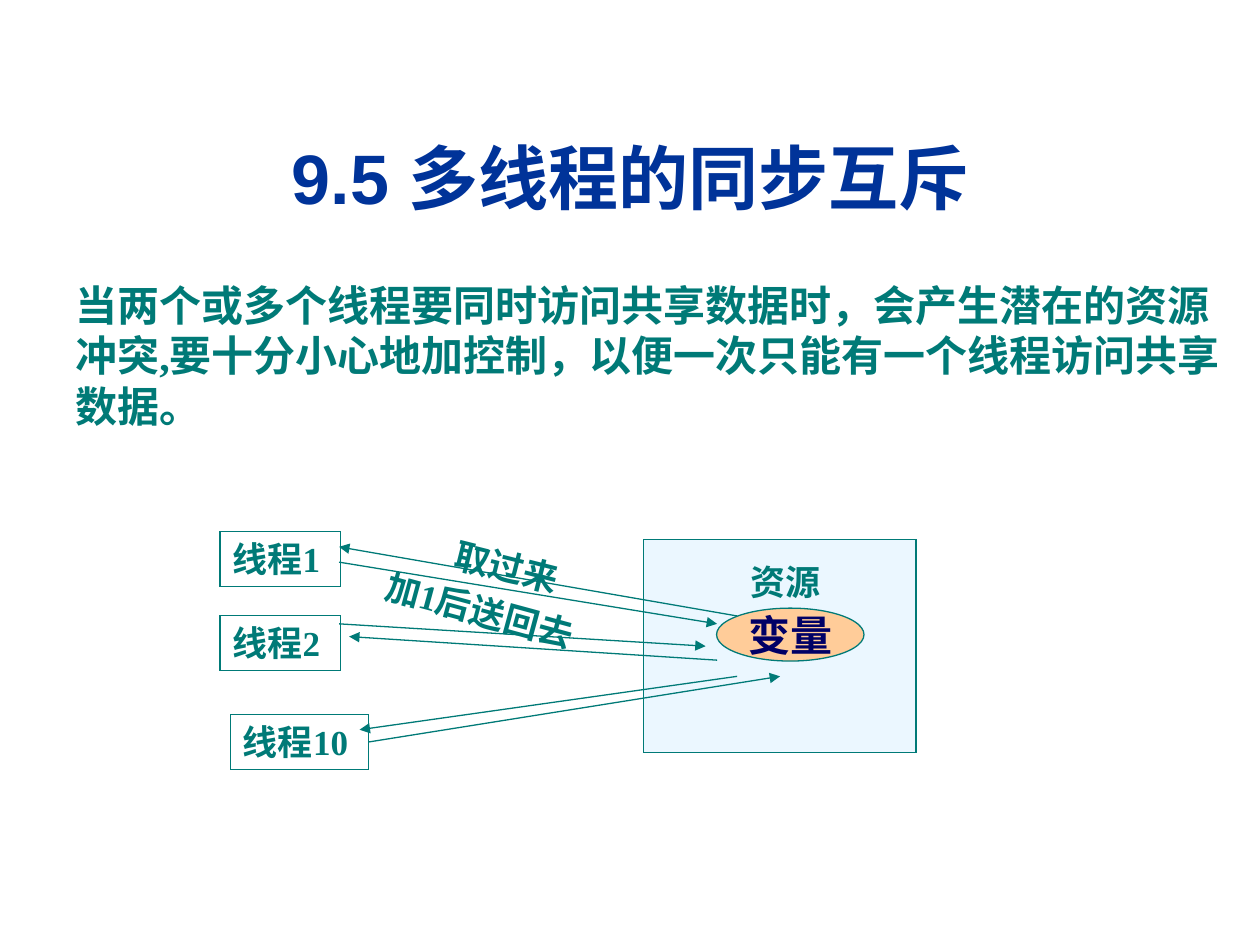
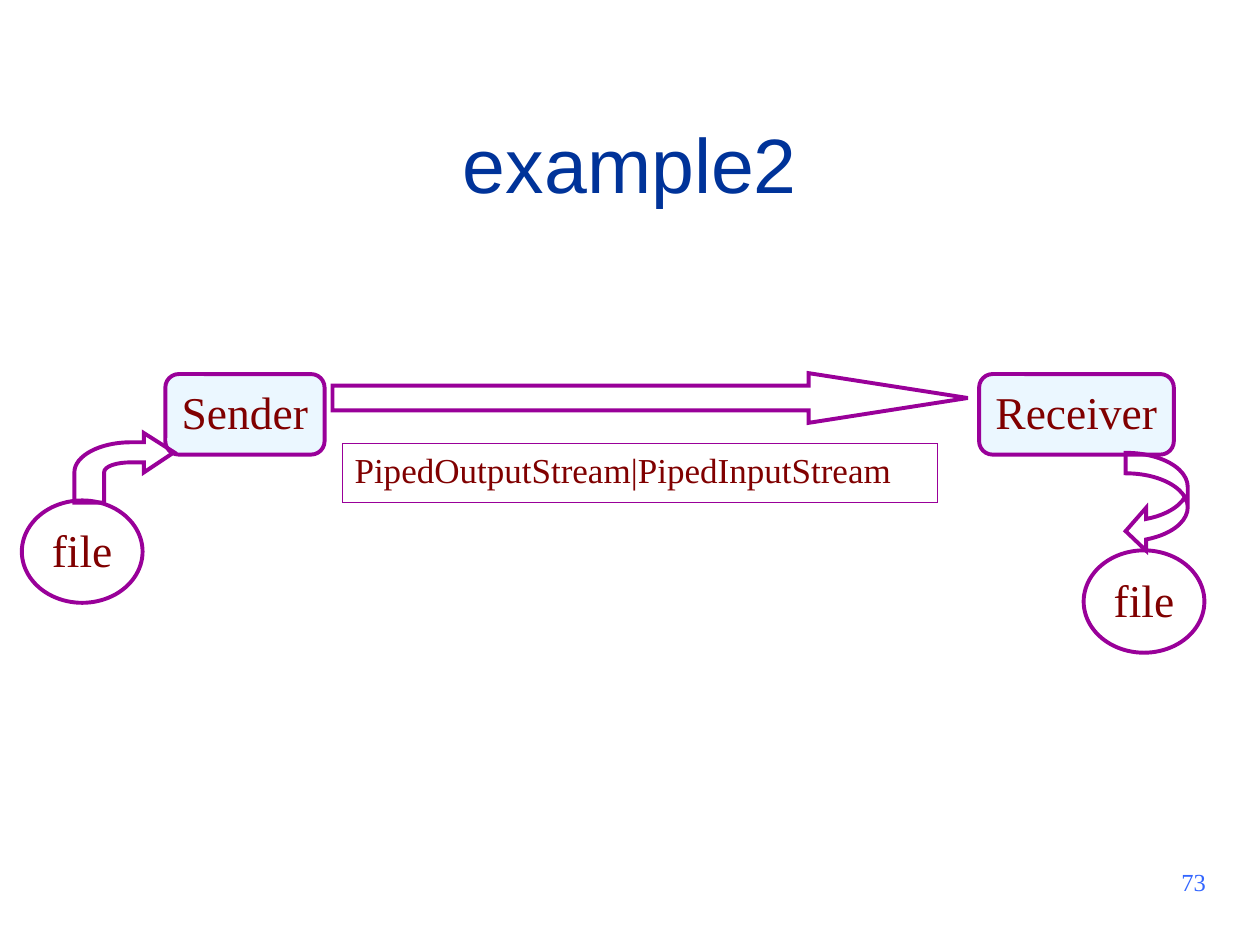
from dataclasses import dataclass

from lxml.etree import SubElement
from pptx import Presentation
from pptx.dml.color import RGBColor
from pptx.enum.shapes import MSO_CONNECTOR as CONN, MSO_SHAPE as SHAPE
from pptx.enum.text import (MSO_ANCHOR as ANCHOR, MSO_AUTO_SIZE as AUTO,
                            PP_ALIGN as ALIGN)
from pptx.oxml.ns import qn
from pptx.util import Pt


@dataclass(frozen=True)
class Theme:
    """Colours, fonts, type sizes and line widths of the deck."""
    title: str = "003399"
    teal: str = "007A77"
    navy: str = "000066"
    maroon: str = "800000"
    purple: str = "990099"
    number: str = "3366FF"
    white: str = "FFFFFF"
    pale: str = "EBF7FF"
    peach: str = "FFCC99"
    head_font: str = "Arial"
    body_font: str = "Times New Roman"
    title_big: float = 44
    title_size: float = 40
    node_size: float = 26
    body_size: float = 24
    label_size: float = 20
    number_size: float = 14
    hair: float = 0.25
    thin: float = 0.75
    thick: float = 2.25
    inset: float = 3.6
    deep_inset: float = 6.5


T = Theme()
RIGHT_SIDE = 3


def rgb(code):
    """Turn a hex code into a colour."""
    return RGBColor.from_string(code)


def write(sp, text, size, color, bold=False, font=T.body_font,
          align=ALIGN.LEFT, anchor=ANCHOR.TOP, wrap=True, bottom=T.inset):
    """Put one run of text into a shape."""
    tf = sp.text_frame
    tf.word_wrap = wrap
    tf.vertical_anchor = anchor
    tf.margin_bottom = Pt(bottom)
    p = tf.paragraphs[0]
    p.alignment = align
    r = p.add_run()
    r.text = text
    r.font.size = Pt(size)
    r.font.name = font
    r.font.bold = bold
    r.font.color.rgb = rgb(color)


def add_text(s, box, text, size, color, rotation=0, **style):
    """Add a text box, turned if asked, that fits unwrapped text."""
    sp = s.shapes.add_textbox(*map(Pt, box))
    sp.rotation = rotation
    write(sp, text, size, color, **style)
    if not sp.text_frame.word_wrap:
        sp.text_frame.auto_size = AUTO.SHAPE_TO_FIT_TEXT


def paint(sp, fill, line, width):
    """Set fill and sharp outline, and drop the shadow."""
    sp.shadow.inherit = False
    if fill:
        sp.fill.solid()
        sp.fill.fore_color.rgb = rgb(fill)
    else:
        sp.fill.background()
    sp.line.color.rgb = rgb(line)
    sp.line.width = Pt(width)
    SubElement(sp.line._get_or_add_ln(), qn("a:miter"), lim="800000")


def add_shape(s, kind, box, fill, line, width, adjust=()):
    """Add a painted preset shape."""
    sp = s.shapes.add_shape(kind, *map(Pt, box))
    for i, value in enumerate(adjust):
        sp.adjustments[i] = value
    paint(sp, fill, line, width)
    return sp


def add_arrow(s, start, end, source=None):
    """Add a thin arrow, joined to the right side of source if given."""
    c = s.shapes.add_connector(CONN.STRAIGHT, *map(Pt, (*start, *end)))
    if source is not None:
        c.begin_connect(source, RIGHT_SIDE)
    c.line.color.rgb = rgb(T.teal)
    c.line.width = Pt(T.thin)
    SubElement(c.line._get_or_add_ln(), qn("a:tailEnd"), type="triangle")
    SubElement(c._element.spPr, qn("a:effectLst"))


def add_outline(s, left, top, points, curves):
    """Add an unfilled outline; each curve is the index of its first control."""
    points = [(Pt(x), Pt(y)) for x, y in points]
    fb = s.shapes.build_freeform(*points[0])
    fb.add_line_segments(points[1:], close=True)
    sp = fb.convert_to_shape(Pt(left), Pt(top))
    steps = list(sp._element.iter(qn("a:lnTo")))
    for i in curves:
        first, *rest = steps[i - 1:i + 2]
        first.tag = qn("a:cubicBezTo")
        for step in rest:
            first.append(step[0])
            step.getparent().remove(step)
    paint(sp, None, T.purple, T.thick)


def add_title(s, box, text, size, bold=False):
    """Add the centred slide title."""
    add_text(s, box, text, size, T.title, bold=bold, font=T.head_font,
             align=ALIGN.CENTER, anchor=ANCHOR.MIDDLE)


def thread_diagram(s, left, top):
    """Draw threads that fetch and return a shared variable."""
    def at(x, y, *size):
        return (left + x, top + y, *size)

    label = dict(size=T.label_size, color=T.teal, bold=True, wrap=False)
    threads = []
    for text, x, y, w in (("线程1", 0, 0, 69), ("线程2", 0, 48, 69),
                          ("线程10", 6, 104.5, 79)):
        sp = add_shape(s, SHAPE.RECTANGLE, at(x, y, w, 31.5),
                       T.white, T.teal, T.thin)
        write(sp, text, **label)
        threads.append(sp)

    add_shape(s, SHAPE.RECTANGLE, at(241.75, 4.5, 156, 121.75),
              T.pale, T.teal, T.thin)
    add_text(s, at(296.25, 13.25, 54.4, 31.5), "资源", **label)

    for start, end in (((68, 17.5), (284, 52.75)),
                       ((68, 52.75), (277.5, 65.5)),
                       ((295.5, 48.25), (68, 8.75)),
                       ((284, 73.5), (73.75, 60)),
                       ((295.5, 82.75), (79.75, 113.25))):
        add_arrow(s, at(*start), at(*end))
    add_arrow(s, at(85, 120.25), at(320, 82.75), source=threads[-1])

    add_text(s, at(127, 4.5, 74.4, 31.5), "取过来", rotation=14.1, **label)
    add_text(s, at(86, 30.5, 134, 31.5), "加1后送回去", rotation=15.2, **label)

    sp = add_shape(s, SHAPE.OVAL, at(283.75, 43.75, 84.25, 30.25),
                   T.peach, T.teal, T.thin)
    write(sp, "变量", T.body_size, T.navy, bold=True, wrap=False,
          align=ALIGN.CENTER, anchor=ANCHOR.MIDDLE)


def pipe_diagram(s, left, top):
    """Draw a file sent through a pipe from sender to receiver."""
    def at(x, y, *size):
        return (left + x, top + y, *size)

    boxed = dict(color=T.maroon, anchor=ANCHOR.MIDDLE, bottom=T.deep_inset)
    for text, kind, box, fill in (
            ("Sender", SHAPE.ROUNDED_RECTANGLE, (82, 0.75, 91, 46), T.pale),
            ("Receiver", SHAPE.ROUNDED_RECTANGLE, (547, 0.75, 111.25, 46), T.pale),
            ("file", SHAPE.OVAL, (0, 73, 69, 58.5), None),
            ("file", SHAPE.OVAL, (606.75, 101.5, 69, 58.5), None)):
        sp = add_shape(s, kind, at(*box), fill, T.purple, T.thick)
        write(sp, text, T.node_size, wrap=False, align=ALIGN.CENTER, **boxed)

    add_shape(s, SHAPE.RIGHT_ARROW, at(177.5, 0.25, 363, 28.4),
              None, T.purple, T.thick, adjust=(0.5, 3.2))

    streams = add_shape(s, SHAPE.RECTANGLE, at(183, 40, 340.25, 34),
                        None, T.purple, T.hair)
    write(streams, "PipedOutputStream|PipedInputStream", T.label_size, **boxed)

    add_outline(s, *at(30, 34.5), [
        (57, 11), (39.75, 0), (39.75, 5.25), (32.5, 5.25),
        (14.5, 5.25), (0, 13), (0, 22.5), (0, 39.75), (17, 39.75), (17, 22.5),
        (17, 19), (24, 16.75), (32.5, 16.75), (39.75, 16.75), (39.75, 22.5)],
        curves=(4, 10))

    add_shape(s, SHAPE.CURVED_LEFT_ARROW, at(630.75, 45.75, 35.5, 57),
              None, T.purple, T.thick, adjust=(0.33, 0.69, 0.33))


def sync_slide(prs):
    """Build the slide on thread synchronisation."""
    s = prs.slides.add_slide(prs.slide_layouts[6])
    add_title(s, (42.5, 64, 635, 74), "9.5 多线程的同步互斥",
              T.title_size, bold=True)
    add_text(s, (36, 156.25, 684, 94),
             "当两个或多个线程要同时访问共享数据时，会产生潜在的资源冲突,"
             "要十分小心地加控制，以便一次只能有一个线程访问共享数据。",
             T.body_size, T.teal, bold=True)
    thread_diagram(s, 125.75, 303.75)


def pipe_slide(prs):
    """Build the slide on piped streams."""
    s = prs.slides.add_slide(prs.slide_layouts[6])
    add_text(s, (516.25, 492, 180, 37.5), "73", T.number_size, T.number,
             align=ALIGN.RIGHT)
    add_title(s, (24, 48, 672, 90), "example2", T.title_big)
    pipe_diagram(s, 12.5, 213)


def main():
    """Build and save the deck."""
    prs = Presentation()
    prs.slide_width, prs.slide_height = Pt(720), Pt(540)
    sync_slide(prs)
    pipe_slide(prs)
    prs.save("out.pptx")


if __name__ == "__main__":
    main()
